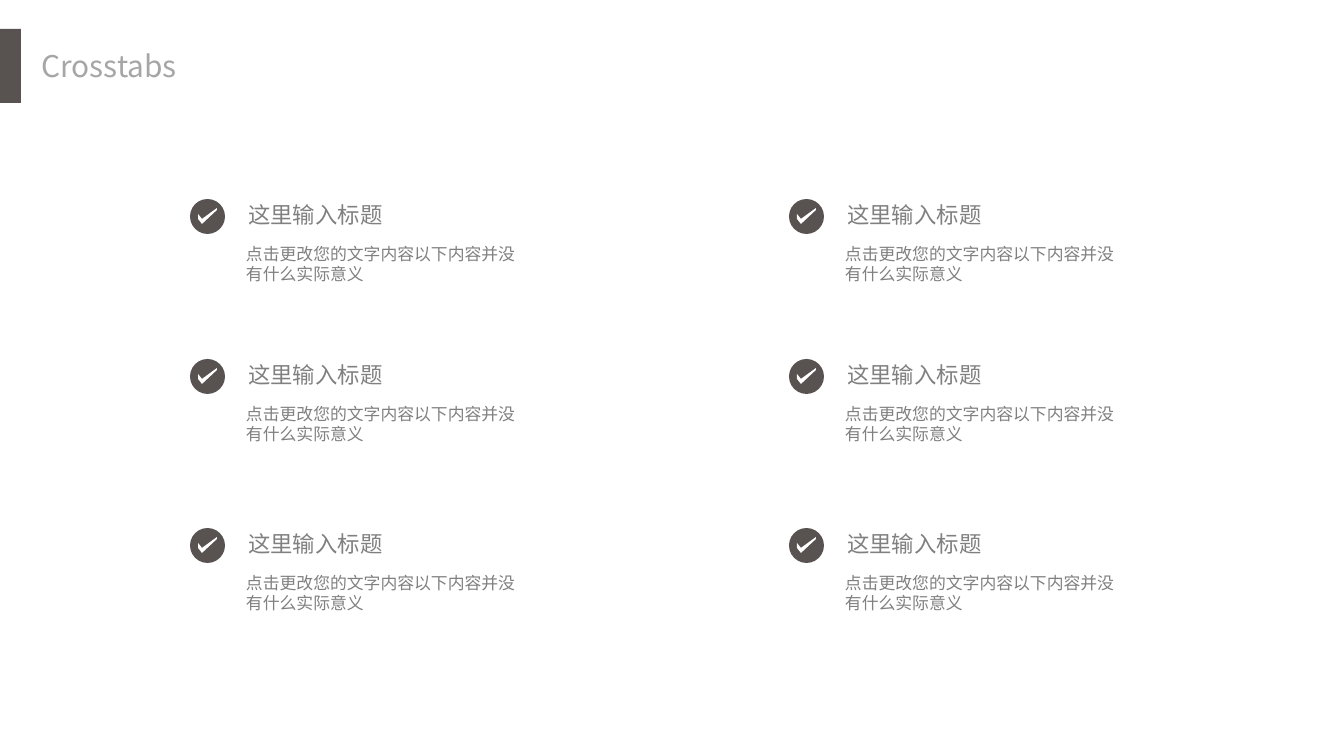
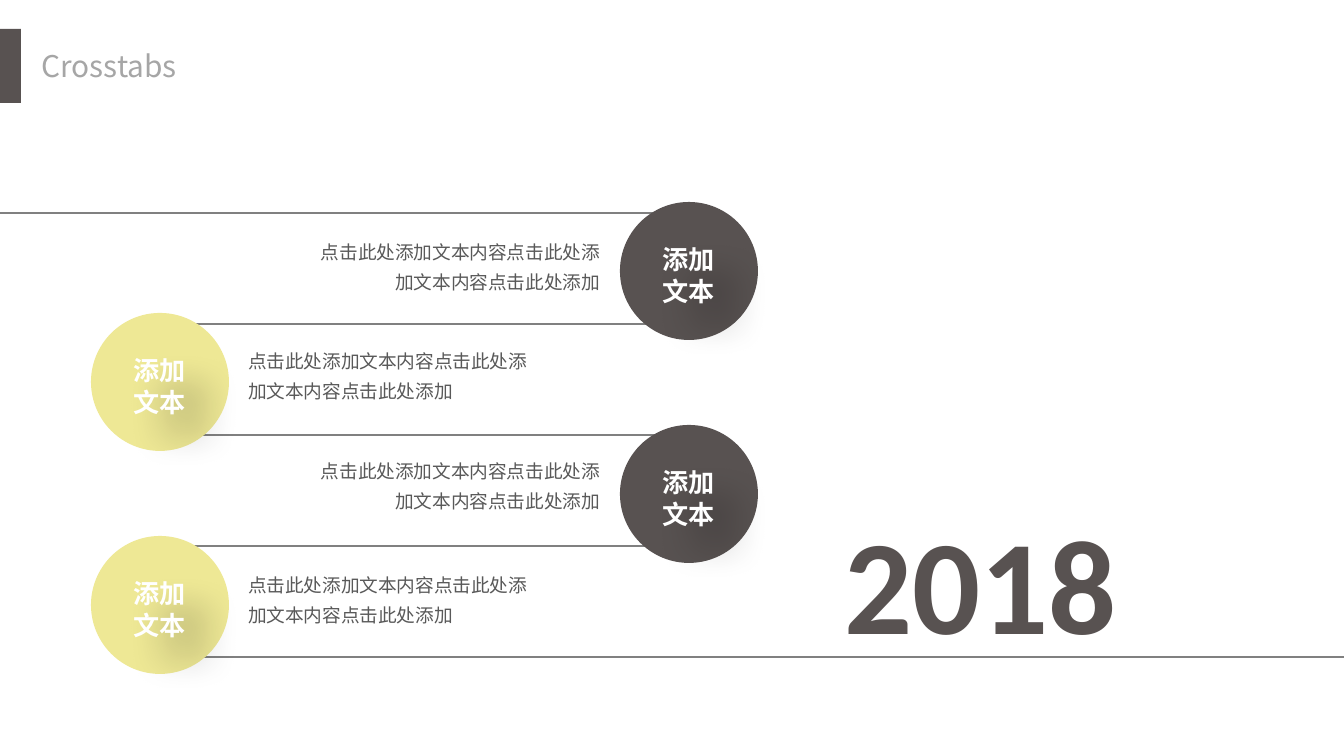
from lxml import etree
from pptx import Presentation
from pptx import util as u
from pptx.dml.color import RGBColor
from pptx.enum import shapes, text
from pptx.oxml import ns

PX = 914400 / 134.4
PAGE_SIZE = (1344, 756)
DARK = RGBColor(0x58, 0x52, 0x51)
YELLOW = RGBColor(0xEE, 0xE8, 0x95)
WHITE = RGBColor(0xFF, 0xFF, 0xFF)
TITLE_GREY = RGBColor(0xA6, 0xA6, 0xA6)
MID_GREY = RGBColor(0x80, 0x80, 0x80)
TEXT_GREY = RGBColor(0x59, 0x59, 0x59)
SANS = "Noto Sans CJK SC"
ALIGN = text.PP_ALIGN
MIDDLE = text.MSO_ANCHOR.MIDDLE

ICON_SIZE = 35
ICON_LEFTS = (190, 789)
ICON_TOPS = (199, 359, 528)
TICK = ((8, 15), (8, 20), (12, 25), (27, 11), (27, 9), (12, 20))
CIRCLE_SIZE = 138
CIRCLE_TOP = 202
LINE_TOP, LINE_STEP = 213, 111
NOTE_TOPS = (228, 337, 447, 561)


def px(*lengths):
    """Turn pixel lengths into EMU."""
    return [u.Emu(round(length * PX)) for length in lengths]


def style_text(box, size, color, font=SANS, bold=False, align=ALIGN.LEFT):
    """Format every paragraph and run of a box."""
    for para in box.text_frame.paragraphs:
        para.alignment = align
        for span in para.runs:
            span.font.size = u.Pt(size)
            span.font.bold = bold
            span.font.name = font
            span.font.color.rgb = color
            east = etree.SubElement(span.font._element, ns.qn("a:ea"))
            east.set("typeface", font)


def set_frame(box, insets, anchor=text.MSO_ANCHOR.TOP, wrap=True, grow=False):
    """Set insets (left, top, right, bottom in inches), anchor and fitting."""
    frame = box.text_frame
    (frame.margin_left, frame.margin_top,
     frame.margin_right, frame.margin_bottom) = map(u.Inches, insets)
    frame.vertical_anchor = anchor
    frame.word_wrap = wrap
    frame.auto_size = (text.MSO_AUTO_SIZE.SHAPE_TO_FIT_TEXT if grow
                       else text.MSO_AUTO_SIZE.NONE)


def add_text(parent, place, words, size, color, insets=(0.1, 0.05, 0.1, 0.05),
             anchor=text.MSO_ANCHOR.TOP, wrap=True, grow=False, **style):
    """Add a formatted text box."""
    box = parent.shapes.add_textbox(*px(*place))
    box.text_frame.text = words
    set_frame(box, insets, anchor, wrap, grow)
    style_text(box, size, color, **style)
    return box


def paint(shape, color):
    """Give a shape a plain fill without outline or shadow."""
    shape.shadow.inherit = False
    shape.fill.solid()
    shape.fill.fore_color.rgb = color
    shape.line.fill.background()


def add_plain(parent, kind, place, color):
    """Add a plain preset shape."""
    paint(parent.shapes.add_shape(kind, *px(*place)), color)


def add_line(page, left, right, top):
    """Add a horizontal grey line."""
    line = page.shapes.add_connector(shapes.MSO_CONNECTOR.STRAIGHT,
                                     *px(left, top, right, top))
    line.line.color.rgb = MID_GREY
    line.line.width = u.Pt(1.5)
    etree.SubElement(line._element.spPr, ns.qn("a:effectLst"))


def add_soft_shadow(box):
    """Cast a blurred shadow to the lower right."""
    effects = etree.SubElement(box._element.spPr, ns.qn("a:effectLst"))
    shadow = etree.SubElement(effects, ns.qn("a:outerShdw"), blurRad="228600",
                              dist="228600", dir="2700000", algn="tl",
                              rotWithShape="0")
    color = etree.SubElement(shadow, ns.qn("a:srgbClr"), val="000000")
    etree.SubElement(color, ns.qn("a:alpha"), val="35000")


def add_page(deck, title):
    """Add a page with the shared side band and title."""
    page = deck.slides.add_slide(deck.slide_layouts[5])
    add_plain(page, shapes.MSO_SHAPE.RECTANGLE, (0, 29, 21, 74), DARK)
    box = page.shapes.title
    box.left, box.top, box.width, box.height = px(31, 42, 160, 47)
    box.text_frame.text = title
    set_frame(box, (0.08, 0.04, 0.08, 0.04), MIDDLE, wrap=False, grow=True)
    style_text(box, 16, TITLE_GREY)
    return page


def add_check_icon(page, left, top):
    """Add a dark disc with a white tick."""
    icon = page.shapes.add_group_shape()
    add_plain(icon, shapes.MSO_SHAPE.OVAL,
              (left, top, ICON_SIZE, ICON_SIZE), DARK)
    points = [px(left + x, top + y) for x, y in TICK]
    outline = icon.shapes.build_freeform(*points[0])
    outline.add_line_segments(points[1:], close=True)
    paint(outline.convert_to_shape(), WHITE)


def add_check_item(page, left, top):
    """Add an icon with its heading and description."""
    add_check_icon(page, left, top)
    add_text(page, (left + 45, top + 1, 200, 30), "这里输入标题",
             12, MID_GREY, anchor=MIDDLE)
    add_text(page, (left + 56, top + 31, 293, 67),
             "点击更改您的文字内容以下内容并没有什么实际意义",
             9, MID_GREY, insets=(0, 0.05, 0.1, 0.05), anchor=MIDDLE)


def add_circle(page, left, top, color):
    """Add a timeline circle with its two-line label."""
    group = page.shapes.add_group_shape()
    add_plain(group, shapes.MSO_SHAPE.OVAL,
              (left, top, CIRCLE_SIZE, CIRCLE_SIZE), color)
    label = add_text(group, (left + 29, top + 35, 79, 77), "添加\n文本",
                     14, WHITE, wrap=False, grow=True, bold=True,
                     align=ALIGN.CENTER)
    add_soft_shadow(label)


def add_note(page, left, top, align):
    """Add the description beside a timeline circle."""
    note = add_text(page, (left, top, 323, 73),
                    "点击此处添加文本内容点击此处添加文本内容点击此处添加",
                    10, TEXT_GREY, grow=True, align=align)
    para = note.text_frame.paragraphs[0]
    para.line_spacing = 1.3
    para.space_before = u.Pt(6)


def build_checklist(deck):
    """Build the page of six ticked items."""
    page = add_page(deck, "Crosstabs")
    for top in ICON_TOPS:
        for left in ICON_LEFTS:
            add_check_item(page, left, top)


def build_timeline(deck):
    """Build the winding timeline page."""
    page = add_page(deck, "Crosstabs")
    spans = [(0, 686)] + [(161, 686)] * 3 + [(161, 1344)]
    for row, (left, right) in enumerate(spans):
        add_line(page, left, right, LINE_TOP + row * LINE_STEP)
    for row, note_top in enumerate(NOTE_TOPS):
        top = CIRCLE_TOP + row * 223 // 2
        if row % 2 == 0:
            add_circle(page, 620, top, DARK)
            add_note(page, 290, note_top, ALIGN.RIGHT)
        else:
            add_circle(page, 91, top, YELLOW)
            add_note(page, 235, note_top, ALIGN.LEFT)
    add_text(page, (831, 494, 302, 176), "2018", 72, DARK, wrap=False,
             grow=True, font="Calibri", bold=True)


def main():
    """Build and save the deck."""
    deck = Presentation()
    deck.slide_width, deck.slide_height = px(*PAGE_SIZE)
    build_checklist(deck)
    build_timeline(deck)
    deck.save("out.pptx")


main()
